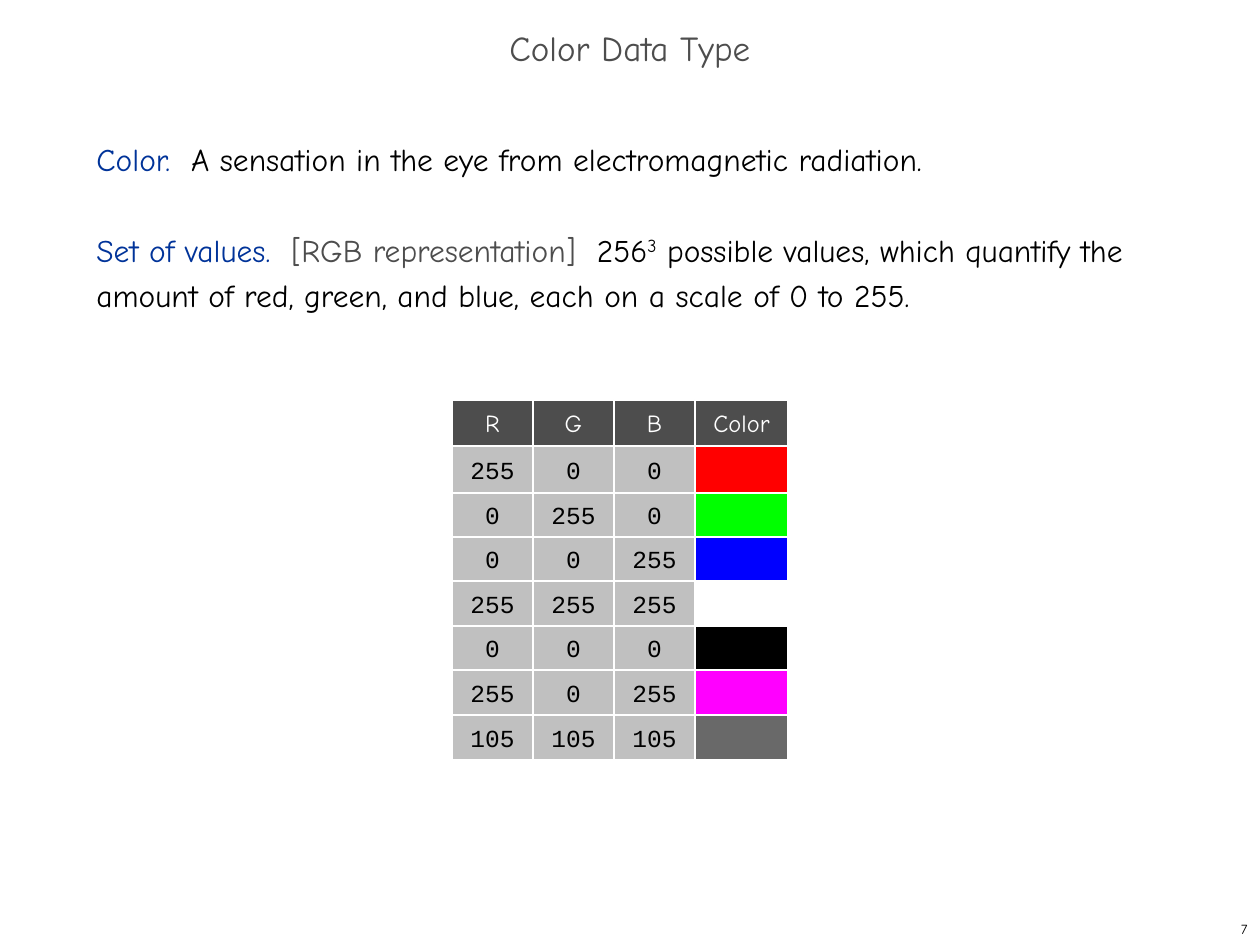
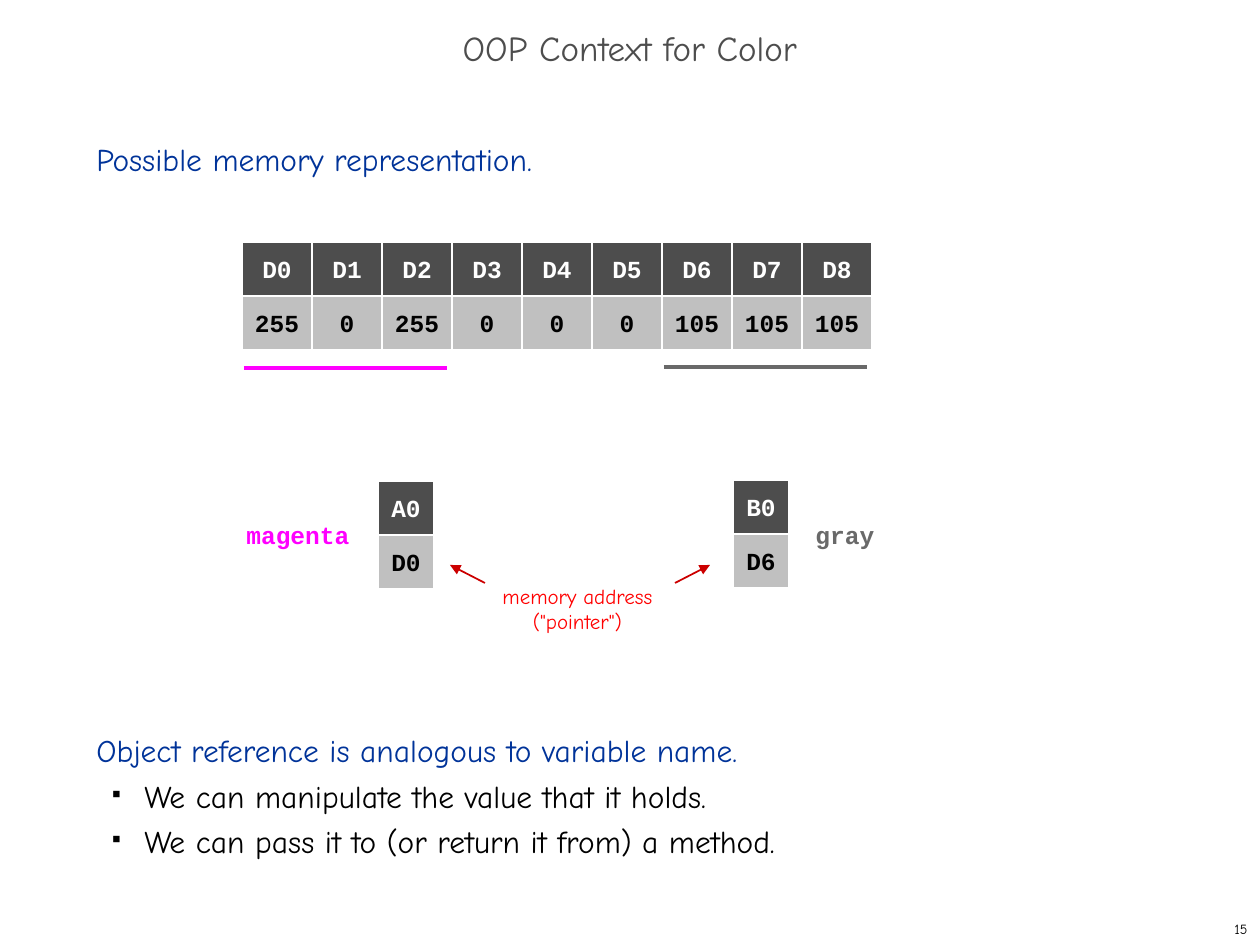
"""Build two slides on the Color data type and its memory representation."""
from lxml.etree import SubElement
from pptx import Presentation
from pptx.dml.color import RGBColor
from pptx.enum.shapes import MSO_CONNECTOR as Connector, MSO_SHAPE as Shape
from pptx.enum.text import MSO_ANCHOR as Anchor, PP_ALIGN as Align
from pptx.oxml.ns import qn
from pptx.util import Pt

PX = 914400 / 126
color = RGBColor.from_string
BLACK, WHITE, BLUE = "000000", "FFFFFF", "003399"
DARK, LIGHT = "4D4D4D", "C0C0C0"
MAGENTA, GRAY, RED, ARROW_RED = "FF00FF", "696969", "FF0000", "CC0000"
HAND, CODE = "Comic Neue", "Courier New"


def add_box(slide, box, fill=None):
    left, top, width, height = [round(value * PX) for value in box]
    if fill is None:
        return slide.shapes.add_textbox(left, top, width, height)
    shape = slide.shapes.add_shape(Shape.RECTANGLE, left, top, width, height)
    shape.shadow.inherit = False
    shape.fill.solid()
    shape.fill.fore_color.rgb = color(fill)
    shape.line.color.rgb = color(WHITE)
    shape.line.width = Pt(0.75)
    return shape


def add_text(shape, paragraphs, size=14, font=CODE, bold=False, align=Align.CENTER,
             anchor=Anchor.MIDDLE, spacing=None, wrap=False):
    frame = shape.text_frame
    frame.word_wrap = wrap
    frame.vertical_anchor = anchor
    for index, runs in enumerate(paragraphs):
        paragraph = frame.add_paragraph() if index else frame.paragraphs[0]
        paragraph.alignment = align
        paragraph.line_spacing = spacing
        for text, text_color in runs:
            for line_index, line in enumerate(text.split("\n")):
                if line_index:
                    paragraph.add_line_break()
                run = paragraph.add_run()
                run.text = line
                run.font.size = Pt(size)
                run.font.name = font
                run.font.bold = bold
                run.font.color.rgb = color(text_color)
    return frame.paragraphs


presentation = Presentation()
presentation.slide_width = round(1260 * PX)
presentation.slide_height = round(945 * PX)

pages = [
    ("Color Data Type", "7", 1113, [
        [("Color.  ", BLUE), ("A sensation in the eye from electromagnetic radiation.", BLACK)],
        [("Set of values.  ", BLUE), ("[RGB representation]  ", DARK), ("256", BLACK), ("3", BLACK),
         (" possible values, which quantify the amount of red, green, and blue, "
          "each on a scale of 0 to 255.", BLACK)],
    ]),
    ("OOP Context for Color", "15", 1081, [
        [("Possible memory representation.", BLUE)],
        [("Object reference is analogous to variable name.", BLUE)],
        [("We can manipulate the value that it holds.", BLACK)],
        [("We can pass it to (or return it from) a method.", BLACK)],
    ]),
]
slides, bodies = [], []
for title, number, body_width, body in pages:
    slide = presentation.slides.add_slide(presentation.slide_layouts[6])
    add_text(add_box(slide, (998, 913, 262, 31)), [[(number, BLACK)]], 8, HAND, align=Align.RIGHT, wrap=True)
    add_text(add_box(slide, (0, 21, 1260, 63)), [[(title, DARK)]], 20, HAND, spacing=0.7, wrap=True)
    bodies.append(add_text(add_box(slide, (84, 126, body_width, 746)), body, 18, HAND, align=Align.LEFT,
                           anchor=Anchor.TOP, spacing=Pt(26), wrap=True))
    slides.append(slide)
color_slide, memory_slide = slides
color_body, memory_body = bodies

color_body[1].space_before = Pt(26)
color_body[1].runs[3].font._element.set("baseline", "30000")

column_lefts = [452, 533, 614, 695, 788]
row_tops = [400, 446, 493, 537, 581, 626, 670, 715, 760]
swatches = [(255, 0, 0), (0, 255, 0), (0, 0, 255), (255, 255, 255), (0, 0, 0), (255, 0, 255), (105, 105, 105)]
for row, values in enumerate([("R", "G", "B", "Color"), *swatches]):
    top, height = row_tops[row], row_tops[row + 1] - row_tops[row]
    for column, value in enumerate(values):
        left, width = column_lefts[column], column_lefts[column + 1] - column_lefts[column]
        cell = add_box(color_slide, (left, top, width, height), LIGHT if row else DARK)
        add_text(cell, [[(str(value), BLACK if row else WHITE)]], font=CODE if row else HAND)
    if row:
        add_box(color_slide, (column_lefts[3], top, 93, height), "%02X%02X%02X" % values)

memory_body[1].space_before = Pt(12 * 26)
for paragraph in memory_body[2:]:
    properties = paragraph._p.get_or_add_pPr()
    properties.set("lvl", "1")
    properties.set("marL", str(round(48 * PX)))
    properties.set("indent", str(round(-32 * PX)))
    SubElement(SubElement(properties, qn("a:buClr")), qn("a:srgbClr"), val=BLACK)
    SubElement(properties, qn("a:buSzPct"), val="35000")
    SubElement(properties, qn("a:buChar"), char="■")

memory_values = [255, 0, 255, 0, 0, 0, 105, 105, 105]
memory_cells = [(242 + 70 * index, 242, 70, f"D{index}", str(value)) for index, value in enumerate(memory_values)]
pointer_cells = [(378, 481, 56, "A0", "D0"), (733, 480, 56, "B0", "D6")]
for left, top, width, address, value in memory_cells + pointer_cells:
    add_text(add_box(memory_slide, (left, top, width, 54), DARK), [[(address, WHITE)]], bold=True)
    add_text(add_box(memory_slide, (left, top + 54, width, 54), LIGHT), [[(value, BLACK)]], bold=True)

for left, width, name, name_color in [(228, 140, "magenta", MAGENTA), (795, 100, "gray", GRAY)]:
    add_text(add_box(memory_slide, (left, 508, width, 54)), [[(name, name_color)]], bold=True)
add_text(add_box(memory_slide, (483, 577, 189, 63)), [[('memory address\n("pointer")', RED)]], 12, HAND)

lines = [
    ((485, 583, 450, 565), ARROW_RED, 1, True),
    ((675, 583, 710, 565), ARROW_RED, 1, True),
    ((244, 368, 447, 368), MAGENTA, 2, False),
    ((664, 367, 867, 367), GRAY, 2, False),
]
for ends, line_color, weight, has_arrow in lines:
    connector = memory_slide.shapes.add_connector(Connector.STRAIGHT, *[round(value * PX) for value in ends])
    connector.line.color.rgb = color(line_color)
    connector.line.width = Pt(weight)
    if has_arrow:
        SubElement(connector.line._get_or_add_ln(), qn("a:tailEnd"), type="triangle")
    SubElement(connector._element.spPr, qn("a:effectLst"))

presentation.save("out.pptx")
